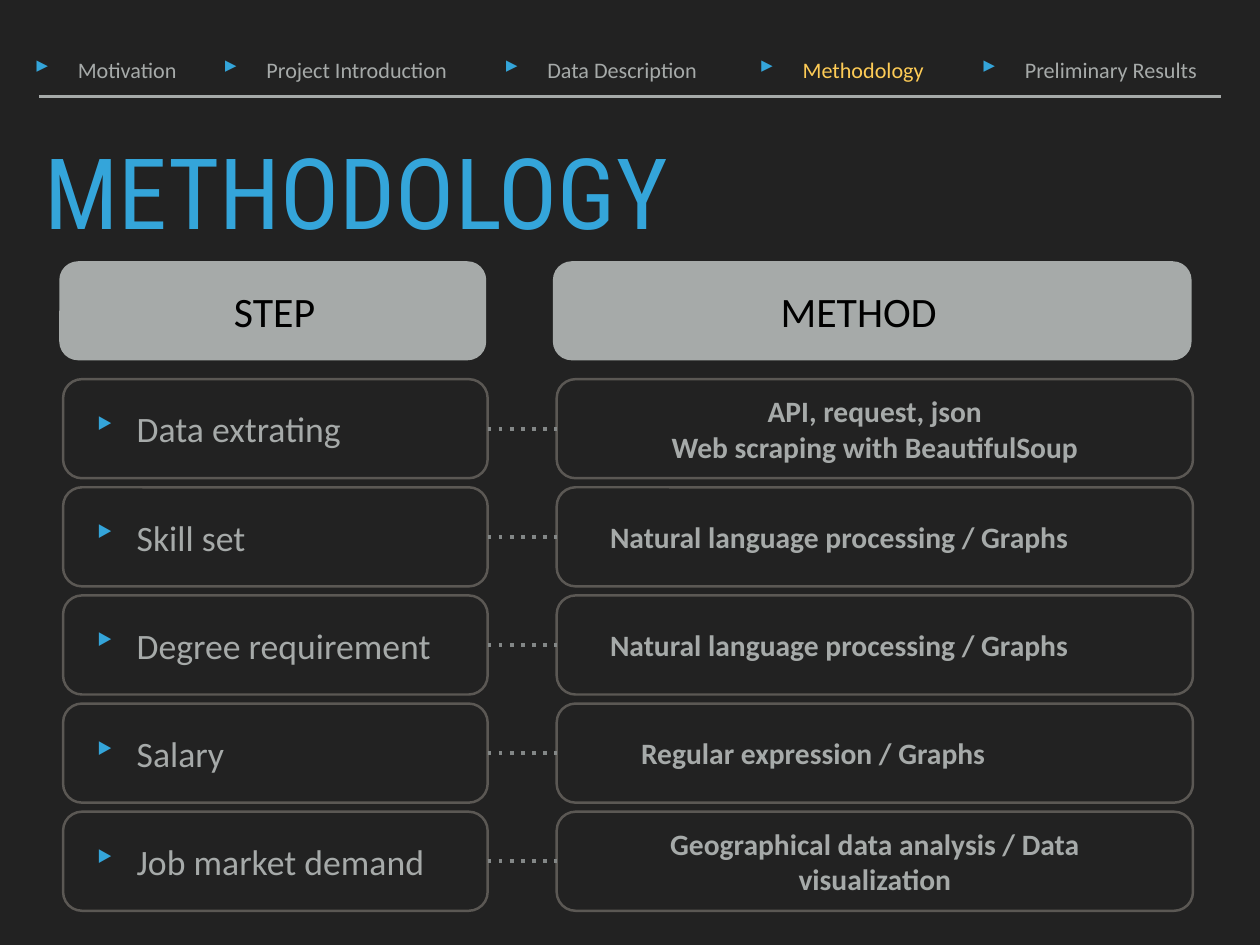
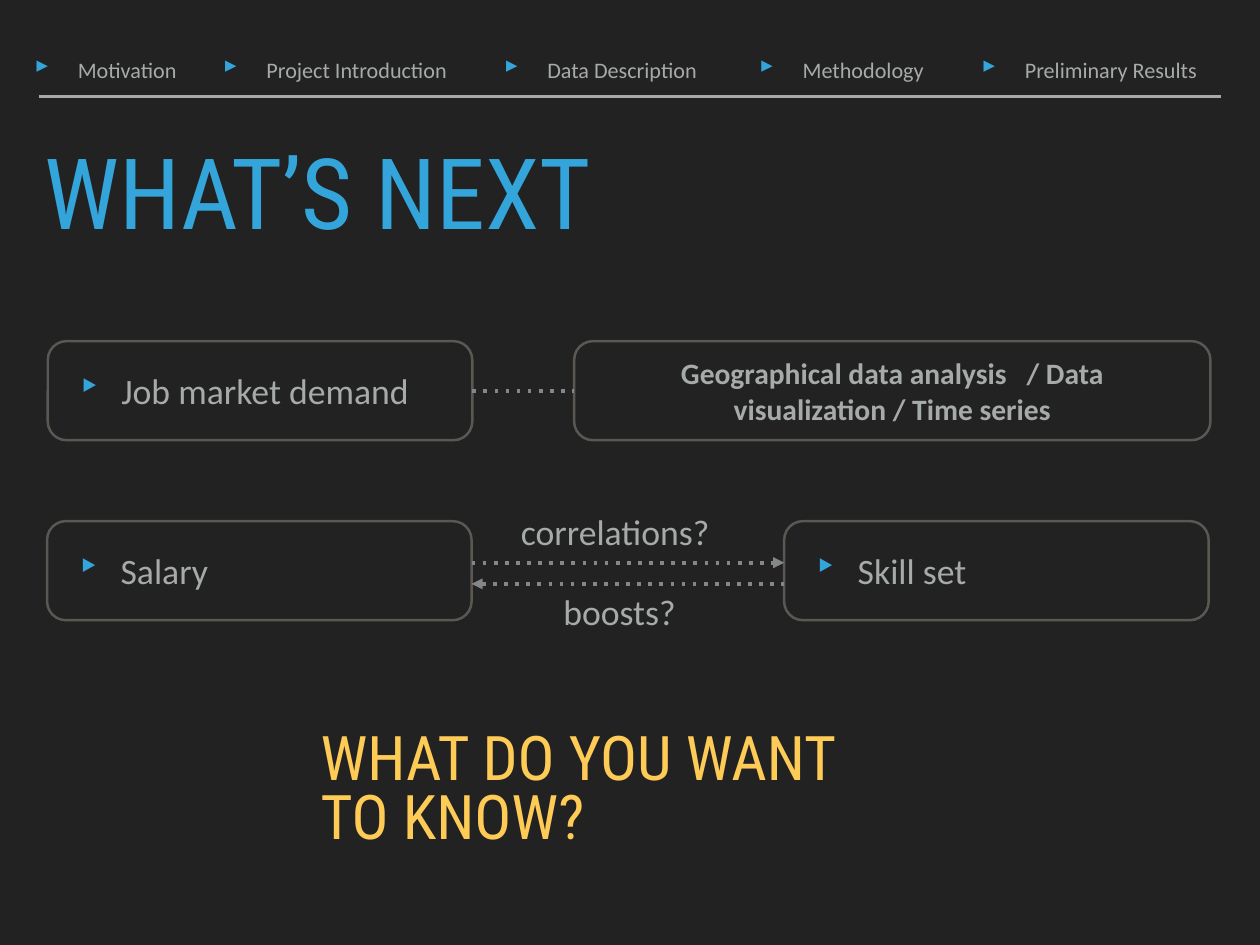
from lxml import etree
from pptx import Presentation
from pptx.dml.color import RGBColor
from pptx.enum import shapes, text
from pptx.oxml.ns import qn
from pptx.util import Cm, Pt

HUE = {"back": "222222", "grey": "A6AAA9", "blue": "34A5DA", "gold": "FDCB56",
       "edge": "5B5854", "dots": "838787", "black": "000000"}
HUE = {name: RGBColor.from_string(code) for name, code in HUE.items()}
BODY, HEAD = "Calibri", "Roboto Condensed"
LEFT, MID = text.PP_ALIGN.LEFT, text.PP_ALIGN.CENTER
TOP, HALF = text.MSO_ANCHOR.TOP, text.MSO_ANCHOR.MIDDLE


def write(shape, words, size, hue, font=BODY, bold=False, align=LEFT,
          anchor=HALF, bullet=None, pads=(0.15, 0.15)):
    """Fill a shape with styled text."""
    frame = shape.text_frame
    frame.text = words
    frame.word_wrap = True
    frame.auto_size = text.MSO_AUTO_SIZE.NONE
    frame.vertical_anchor = anchor
    frame.margin_left, frame.margin_right = [Cm(pad) for pad in pads]
    frame.margin_top = frame.margin_bottom = Cm(0.15)
    for para in frame.paragraphs:
        para.alignment = align
        if font == HEAD:
            para.line_spacing = 0.8
        for run in para.runs:
            run.font.name, run.font.size, run.font.bold = font, Pt(size), bold
            run.font.color.rgb = HUE[hue]
        if bullet:
            props = para._p.get_or_add_pPr()
            props.set("marL", str(Cm(1.24)))
            props.set("indent", str(-Cm(1.24)))
            tint = etree.SubElement(props, qn("a:buClr"))
            etree.SubElement(tint, qn("a:srgbClr"), val=str(HUE["blue"]))
            etree.SubElement(props, qn("a:buSzPct"), val="105000")
            etree.SubElement(props, qn("a:buChar"), char=bullet)


def draw(slide, ends, hue, width):
    """Add a straight line without a shadow."""
    line = slide.shapes.add_connector(
        shapes.MSO_CONNECTOR.STRAIGHT, *[Cm(end) for end in ends])
    line.line.color.rgb = HUE[hue]
    line.line.width = Pt(width)
    etree.SubElement(line._element.spPr, qn("a:effectLst"))
    return line


# Shared page: size, background, title place, navigation
deck = Presentation()
deck.slide_width, deck.slide_height = Cm(36.12), Cm(27.09)
fill = deck.slide_master.background.fill
fill.solid()
fill.fore_color.rgb = HUE["back"]
layout = deck.slide_layouts[5]
spot = layout.placeholders[0]
spot.left, spot.top, spot.width, spot.height = Cm(1.12), Cm(4.27), Cm(33.86), Cm(3.38)
NAV = [("Motivation", 0.84, 4.72), ("Project Introduction", 6.25, 7.34),
       ("Data Description", 14.3, 6.5), ("Methodology", 21.62, 5.54),
       ("Preliminary Results", 27.99, 7.09)]

# Card styles
TALL, SLIM, WIDE = 2.84, 12.17, 18.24
STYLE = {
    "head": dict(size=34, hue="black"),
    "step": dict(size=29, hue="grey", bullet="‣", pads=(0.71, 0.15)),
    "tool": dict(size=24, hue="grey", bold=True),
    "wrap": dict(size=24, hue="grey", bold=True, align=MID, pads=(2.75, 2.75)),
}

# Methodology: two headings, then rows of (step, method, style, left pad)
ROWS = [
    ("Data extrating", "API, request, json\nWeb scraping with BeautifulSoup", "wrap", None),
    ("Skill set", "Natural language processing / Graphs", "tool", 1.37),
    ("Degree requirement", "Natural language processing / Graphs", "tool", 1.37),
    ("Salary", "Regular expression / Graphs", "tool", 2.26),
    ("Job market demand", "Geographical data analysis / Data visualization", "wrap", None),
]
cards = [("STEP", "head", 1.7, 7.49, 12.24, 4.85),
         ("METHOD", "head", 15.85, 7.49, 18.31, 6.37)]
for row, (step, tool, kind, pad) in enumerate(ROWS):
    top = 10.87 + 3.1 * row
    cards += [(step, "step", 1.81, top, SLIM, None),
              (tool, kind, 15.96, top, WIDE, pad)]
first = dict(
    title="METHODOLOGY", active="Methodology", cards=cards, notes=[],
    wires=[(2 * row + 2, 2 * row + 3, 0, None) for row in range(len(ROWS))])

# What's next: wires are (from card, to card, shift from middle, arrowhead)
second = dict(
    title="WHAT’S NEXT", active=None,
    cards=[("Job market demand", "step", 1.37, 9.78, SLIM, None),
           ("Geographical data analysis   / Data visualization / Time series",
            "wrap", 16.46, 9.78, WIDE, None),
           ("Salary", "step", 1.35, 14.94, SLIM, None),
           ("Skill set", "step", 22.48, 14.94, SLIM, None)],
    wires=[(0, 1, 0, None), (2, 3, -0.23, "tailEnd"), (2, 3, 0.38, "headEnd")],
    notes=[("correlations?", (14.78, 14.38, 6.4, 1.7), dict(size=29, hue="grey")),
           ("boosts?", (16, 16.66, 4.01, 1.7), dict(size=29, hue="grey")),
           ("WHAT DO YOU WANT TO KNOW?", (9.04, 20.88, 16.6, 3.38),
            dict(size=50, hue="gold", font=HEAD, anchor=TOP))])

for page in (first, second):
    slide = deck.slides.add_slide(layout)
    write(slide.shapes.title, page["title"], 80, "blue", HEAD, anchor=TOP)

    # Navigation band
    draw(slide, (1.12, 2.77, 35, 2.77), "grey", 2)
    for name, left, width in NAV:
        item = slide.shapes.add_textbox(Cm(left), Cm(1.4), Cm(width), Cm(1.17))
        write(item, name, 18, "gold" if name == page["active"] else "grey", bullet="▸")

    # Cards
    made = []
    for words, kind, left, top, width, pad in page["cards"]:
        card = slide.shapes.add_shape(shapes.MSO_SHAPE.ROUNDED_RECTANGLE,
                                      Cm(left), Cm(top), Cm(width), Cm(TALL))
        card.adjustments[0] = 0.19
        card.shadow.inherit = False
        if kind == "head":
            card.fill.solid()
            card.fill.fore_color.rgb = HUE["grey"]
            card.line.fill.background()
        else:
            card.fill.background()
            card.line.color.rgb = HUE["edge"]
            card.line.width = Pt(2)
        look = dict(STYLE[kind])
        if pad:
            look["pads"] = (pad, 0.15)
        write(card, words, **look)
        made.append(card)

    # Dotted wires
    for start, end, shift, arrow in page["wires"]:
        one, two = made[start], made[end]
        level = Cm(shift) + one.top + one.height // 2
        wire = draw(slide, (Cm(n).cm for n in ((one.left + one.width) / Cm(1),
                    level / Cm(1), two.left / Cm(1), level / Cm(1))), "dots", 3)
        if not shift:
            wire.begin_connect(one, 3)
            wire.end_connect(two, 1)
        stroke = wire.line._get_or_add_ln()
        dash = etree.SubElement(stroke, qn("a:custDash"))
        etree.SubElement(dash, qn("a:ds"), d="100000", sp="200000")
        if arrow:
            etree.SubElement(stroke, qn("a:" + arrow), type="triangle")

    # Free text
    for words, place, look in page["notes"]:
        note = slide.shapes.add_textbox(*[Cm(n) for n in place])
        write(note, words, **look)

deck.save("out.pptx")
